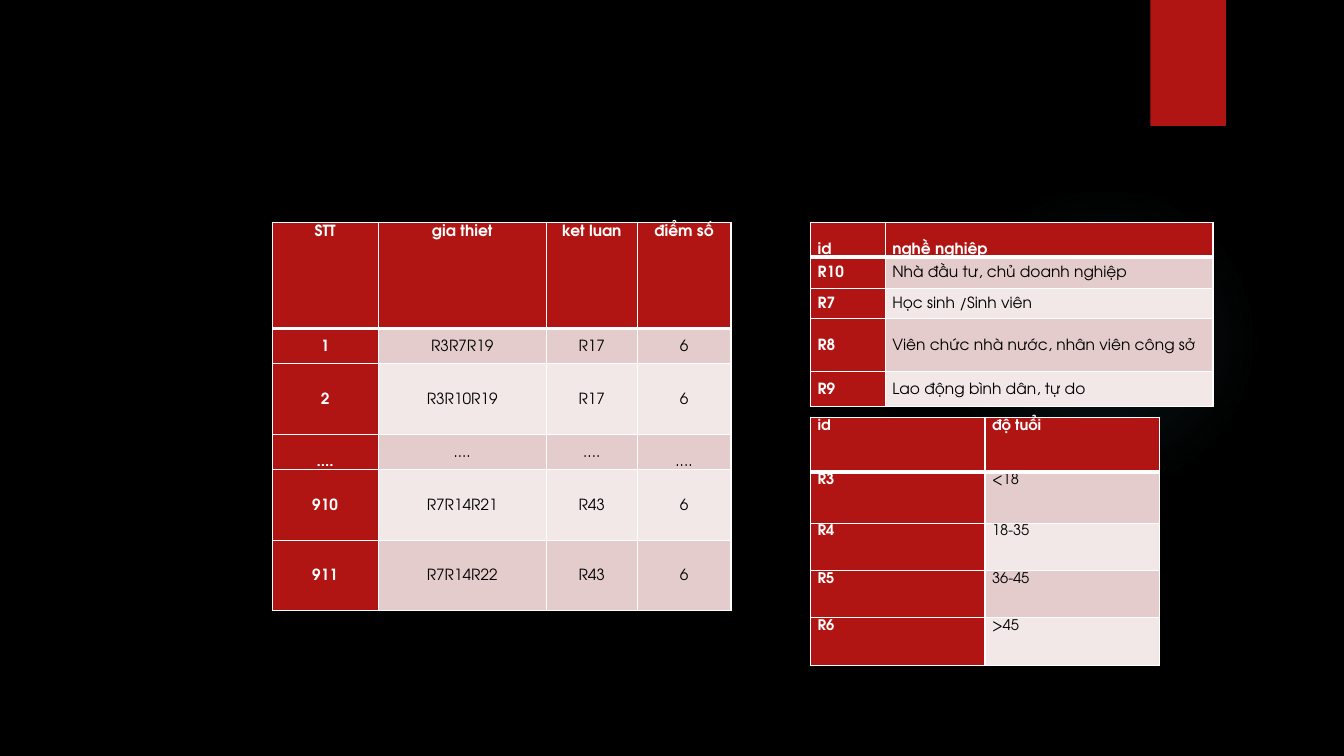
from lxml.etree import SubElement
from pptx import Presentation
from pptx.dml.color import RGBColor
from pptx.enum.shapes import MSO_SHAPE as Shape
from pptx.enum.text import MSO_ANCHOR as Anchor, PP_ALIGN as Align
from pptx.oxml import parse_xml
from pptx.oxml.ns import nsdecls, qn
from pptx.util import Inches, Pt

RED, WHITE, BLACK = "B01513", "FFFFFF", "000000"
BANDS = ["F2E8E7", "E4CCCC"]


def color(value):
    return RGBColor.from_string(value)


def add_border(cell, side, points):
    properties = cell._tc.get_or_add_tcPr()
    line = SubElement(properties, qn(f"a:ln{side}"), w=str(Pt(points)))
    fill = SubElement(line, qn("a:solidFill"))
    SubElement(fill, qn("a:srgbClr"), val=WHITE)


presentation = Presentation()
presentation.slide_width = Inches(13.33)
presentation.slide_height = Inches(7.5)
slide = presentation.slides.add_slide(presentation.slide_layouts[6])
slide.background.fill.solid()
slide.background.fill.fore_color.rgb = color(BLACK)

glow = slide.shapes.add_shape(
    Shape.OVAL, Inches(9.41), Inches(1.83), Inches(3.08), Inches(3.08))
glow.shadow.inherit = False
glow.line.fill.background()
stops = "".join(
    f'<a:gs pos="{position * 1000}"><a:srgbClr val="50B9C1">'
    f'<a:alpha val="{alpha * 1000}"/></a:srgbClr></a:gs>'
    for position, alpha in [(0, 7), (36, 6), (69, 0)])
gradient = parse_xml(
    f'<a:gradFill {nsdecls("a")}><a:gsLst>{stops}</a:gsLst><a:path path="circle">'
    '<a:fillToRect l="50000" t="50000" r="50000" b="50000"/></a:path></a:gradFill>')
glow._element.spPr.find(qn("a:prstGeom")).addnext(gradient)

ribbon = slide.shapes.add_shape(
    Shape.RECTANGLE, Inches(11.41), 0, Inches(0.75), Inches(1.25))
ribbon.shadow.inherit = False
ribbon.fill.solid()
ribbon.fill.fore_color.rgb = color(RED)
ribbon.line.fill.background()

rules = [
    ["STT", "gia thiet", "ket luan", "điểm số"],
    ["1", "R3R7R19", "R17", "6"],
    ["2", "R3R10R19", "R17", "6"],
    ["....", "....", "....", "...."],
    ["910", "R7R14R21", "R43", "6"],
    ["911", "R7R14R22", "R43", "6"],
]
jobs = [
    ["id", "nghề nghiệp"],
    ["R10", "Nhà đầu tư, chủ doanh nghiệp"],
    ["R7", "Học sinh /Sinh viên"],
    ["R8", "Viên chức nhà nước, nhân viên công sở"],
    ["R9", "Lao động bình dân, tự do"],
]
ages = [["id", "độ tuổi"], ["R3", "<18"], ["R4", "18-35"], ["R5", "36-45"], ["R6", ">45"]]

tables = [
    (rules, 2.7, 2.21, [1.05, 1.67, 0.9, 0.93], [1.05, 0.35, 0.7, 0.35, 0.7, 0.7],
     11, Align.CENTER, Anchor.TOP, Anchor.MIDDLE),
    (jobs, 8.04, 2.21, [0.74, 3.25], [0.34, 0.31, 0.3, 0.53, 0.34],
     11, Align.LEFT, Anchor.BOTTOM, Anchor.MIDDLE),
    (ages, 8.04, 4.14, [1.73, 1.73], [0.54, 0.51, 0.47, 0.47, 0.47],
     10.5, Align.LEFT, Anchor.TOP, Anchor.TOP),
]
made = []
for rows, left, top, widths, heights, size, align, head_anchor, body_anchor in tables:
    table = slide.shapes.add_table(
        len(rows), len(widths), Inches(left), Inches(top),
        Inches(sum(widths)), Inches(sum(heights))).table
    made.append(table)
    for column, width in zip(table.columns, widths):
        column.width = Inches(width)
    for r, (texts, height) in enumerate(zip(rows, heights)):
        table.rows[r].height = Inches(height)
        for c, text in enumerate(texts):
            cell = table.cell(r, c)
            heading = r == 0 or c == 0
            for side in "LRTB":
                thick = (r, side) in [(0, "B"), (1, "T")]
                add_border(cell, side, 3 if thick else 1)
            cell.fill.solid()
            cell.fill.fore_color.rgb = color(RED if heading else BANDS[r % 2])
            cell.margin_left = cell.margin_right = Inches(0.07)
            cell.margin_top = cell.margin_bottom = 0
            cell.vertical_anchor = head_anchor if r == 0 else body_anchor
            paragraph = cell.text_frame.paragraphs[0]
            paragraph.text = text
            paragraph.alignment = align
            paragraph.line_spacing = 1.15
            font = paragraph.runs[0].font
            font.name = "TeX Gyre Adventor"
            font.size = Pt(size)
            font.bold = heading
            font.color.rgb = color(WHITE if heading else BLACK)

rules_table, jobs_table, ages_table = made
for c in (0, 3):
    rules_table.cell(3, c).vertical_anchor = Anchor.BOTTOM
jobs_table.cell(0, 0).text_frame.paragraphs[0].space_after = Pt(8)

presentation.save("out.pptx")
